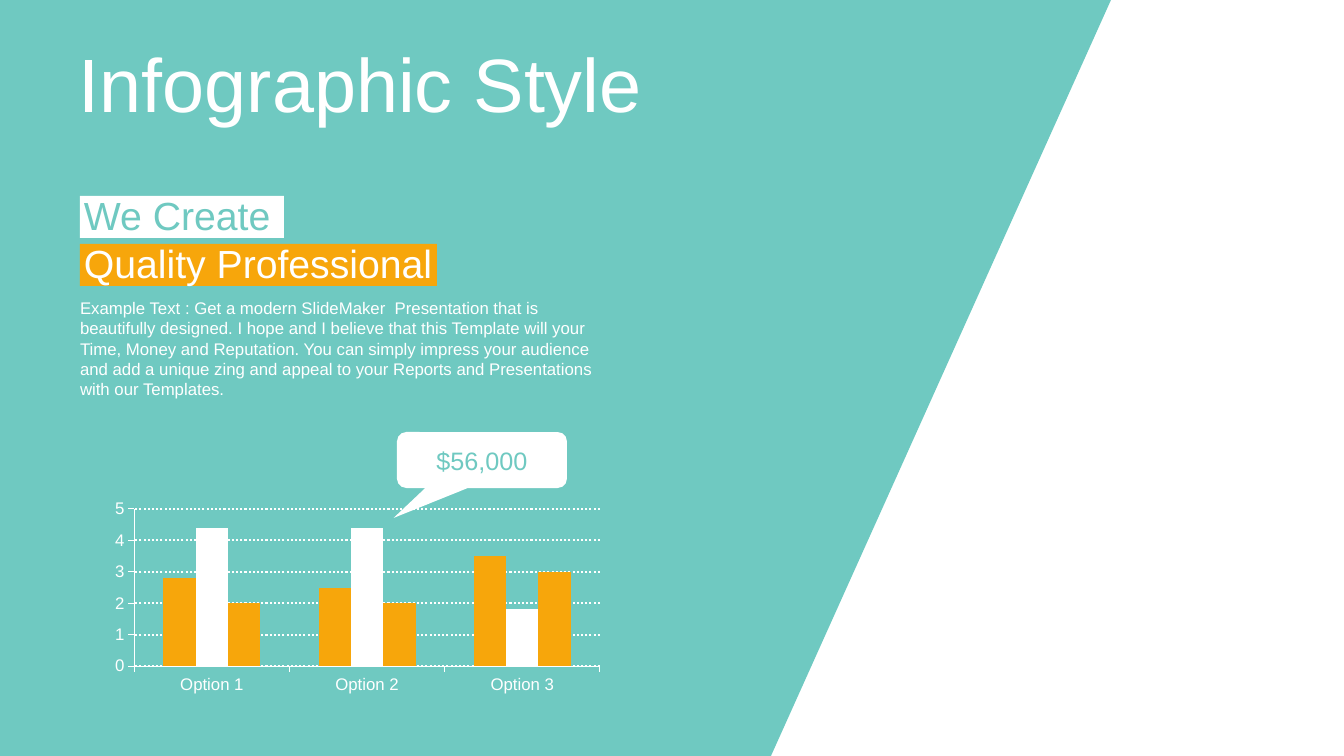
"""Build the infographic slide with a headline, highlighted lines and a column chart."""
from dataclasses import dataclass

from pptx import Presentation
from pptx.chart.data import CategoryChartData
from pptx.dml.color import RGBColor
from pptx.enum.chart import XL_CHART_TYPE as CHART, XL_TICK_MARK as TICK
from pptx.enum.dml import MSO_LINE
from pptx.enum.shapes import MSO_SHAPE as SHAPE
from pptx.enum.text import MSO_ANCHOR as ANCHOR, MSO_AUTO_SIZE as FIT, PP_ALIGN as ALIGN
from pptx.util import Emu, Pt


@dataclass(frozen=True)
class Theme:
    font: str = "Arial"
    teal: RGBColor = RGBColor(0x6F, 0xC9, 0xC1)
    orange: RGBColor = RGBColor(0xF7, 0xA6, 0x0B)
    white: RGBColor = RGBColor(0xFF, 0xFF, 0xFF)
    title: int = 54
    banner: int = 28
    banner_line: int = 30
    callout: int = 18
    body: int = 12


T = Theme()
WIDTH, HEIGHT = 1344, 756
SCALE = 914400 / 100.8

TITLE = ("Infographic Style", (69, 42, 686, 93))
BANNERS = [("We Create", 204, T.white, T.teal),
           ("Quality Professional", 357, T.orange, T.white)]
BANNER_LEFT, BANNER_TOP, BANNER_HEIGHT, BANNER_STEP = 80, 196, 42, 48
BODY = ("Example Text : Get a modern SlideMaker  Presentation that is beautifully designed. "
        "I hope and I believe that this Template will your Time, Money and Reputation. "
        "You can simply impress your audience and add a unique zing and appeal to your "
        "Reports and Presentations with our Templates.", (80, 298, 523, 102))
CALLOUT = ("$56,000", (397, 432, 170, 56), (-0.52, 1.035, 0.167))
BACKDROP = [(0, 0), (1111, 0), (771, HEIGHT), (0, HEIGHT)]
CHART_BOX = (105, 496, 505, 202)
OPTIONS = ["Option 1", "Option 2", "Option 3"]
SERIES = [("Series 1", (2.8, 2.5, 3.5), T.orange),
          ("Series 2", (4.4, 4.4, 1.8), T.white),
          ("Series 3", (2, 2, 3), T.orange)]


def px(n):
    return Emu(round(n * SCALE))


def paint(sp, color):
    sp.shadow.inherit = False
    sp.fill.solid()
    sp.fill.fore_color.rgb = color
    sp.line.fill.background()


def style(font, size, color):
    font.name, font.size = T.font, Pt(size)
    font.color.rgb = color


def write(sp, text, size, color, inset=None, anchor=ANCHOR.TOP, align=ALIGN.LEFT, grow=True):
    tf = sp.text_frame
    tf.word_wrap = True
    tf.auto_size = FIT.SHAPE_TO_FIT_TEXT if grow else FIT.NONE
    tf.vertical_anchor = anchor
    if inset is not None:
        tf.margin_left = tf.margin_right = px(inset)
        tf.margin_top = tf.margin_bottom = 0
    p = tf.paragraphs[0]
    p.text, p.alignment = text, align
    style(p.font, size, color)
    return p


def add_backdrop(s):
    builder = s.shapes.build_freeform(*BACKDROP[0], scale=SCALE)
    builder.add_line_segments(BACKDROP[1:], close=True)
    paint(builder.convert_to_shape(), T.teal)


def add_texts(s):
    for i, (text, width, fill, color) in enumerate(BANNERS):
        top = BANNER_TOP + i * BANNER_STEP
        sp = s.shapes.add_shape(SHAPE.RECTANGLE, *map(px, (BANNER_LEFT, top, width, BANNER_HEIGHT)))
        paint(sp, fill)
        write(sp, text, T.banner, color, inset=4).line_spacing = Pt(T.banner_line)
    text, box = BODY
    write(s.shapes.add_textbox(*map(px, box)), text, T.body, T.white, inset=0)
    text, box = TITLE
    p = write(s.shapes.add_textbox(*map(px, box)), text, T.title, T.white, anchor=ANCHOR.MIDDLE)
    p.line_spacing = 0.9


def add_columns(s):
    data = CategoryChartData()
    data.categories = OPTIONS
    for name, values, _ in SERIES:
        data.add_series(name, values)
    chart = s.shapes.add_chart(CHART.COLUMN_CLUSTERED, *map(px, CHART_BOX), data).chart
    chart.has_legend = chart.has_title = False
    style(chart.font, T.body, T.white)
    plot = chart.plots[0]
    plot.gap_width, plot.overlap, plot.vary_by_categories = 180, 0, False
    for series, (_, _, color) in zip(plot.series, SERIES):
        series.format.fill.solid()
        series.format.fill.fore_color.rgb = color
        series.invert_if_negative = False
    for axis in (chart.category_axis, chart.value_axis):
        axis.major_tick_mark, axis.minor_tick_mark = TICK.OUTSIDE, TICK.NONE
        axis.format.line.color.rgb = T.white
        axis.format.line.width = Pt(0.75)
        style(axis.tick_labels.font, T.body, T.white)
    axis = chart.value_axis
    axis.minimum_scale, axis.maximum_scale, axis.major_unit = 0, 5, 1
    axis.has_major_gridlines = True
    grid = axis.major_gridlines.format.line
    grid.color.rgb, grid.width, grid.dash_style = T.white, Pt(1.5), MSO_LINE.ROUND_DOT


def add_callout(s):
    text, box, adjustments = CALLOUT
    sp = s.shapes.add_shape(SHAPE.ROUNDED_RECTANGULAR_CALLOUT, *map(px, box))
    for i, value in enumerate(adjustments):
        sp.adjustments[i] = value
    paint(sp, T.white)
    write(sp, text, T.callout, T.teal, anchor=ANCHOR.MIDDLE, align=ALIGN.CENTER, grow=False)


def main():
    prs = Presentation()
    prs.slide_width, prs.slide_height = px(WIDTH), px(HEIGHT)
    s = prs.slides.add_slide(prs.slide_layouts[6])
    add_backdrop(s)
    add_texts(s)
    add_columns(s)
    add_callout(s)
    prs.save("out.pptx")


if __name__ == "__main__":
    main()
